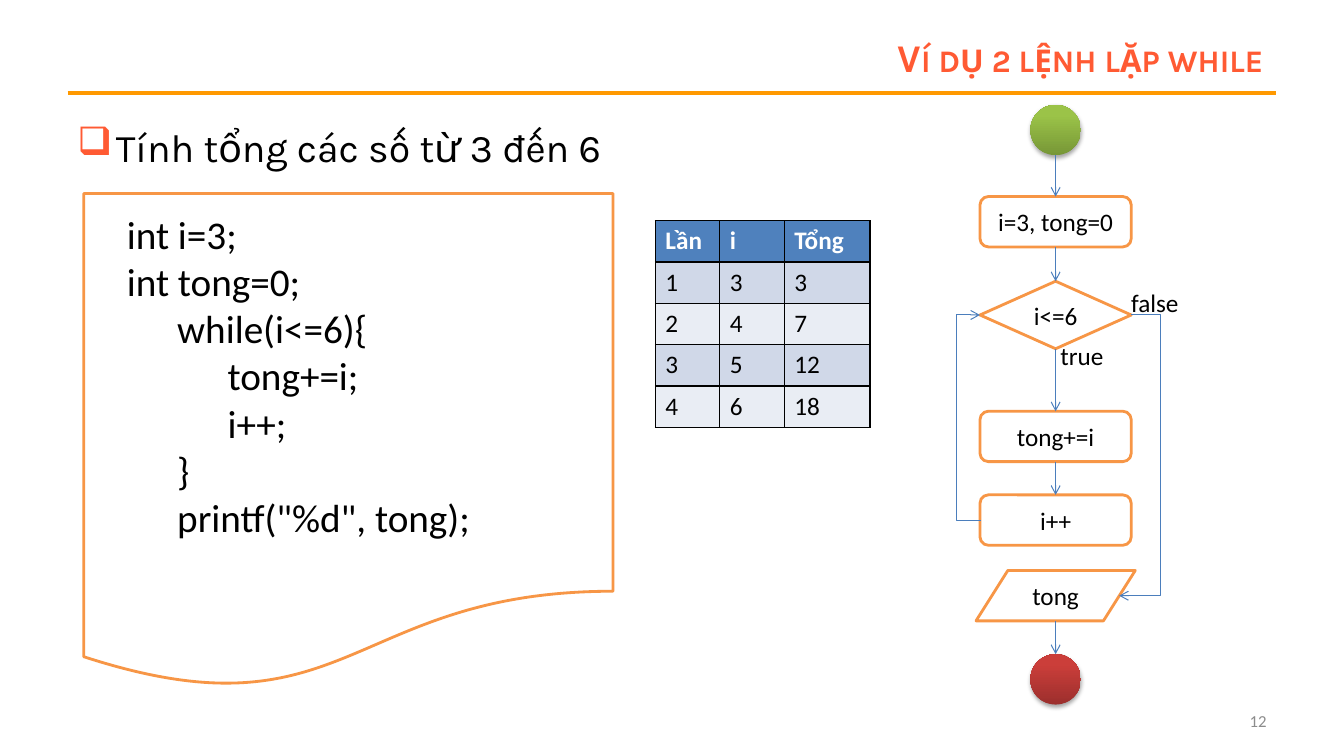
from lxml.etree import SubElement
from pptx import Presentation
from pptx.dml.color import RGBColor
from pptx.enum.shapes import MSO_CONNECTOR, MSO_SHAPE
from pptx.enum.text import MSO_ANCHOR, MSO_AUTO_SIZE, PP_ALIGN
from pptx.oxml.ns import qn
from pptx.util import Inches, Pt

# Content
TITLE = "Ví dụ 2 lệnh lặp while"
TASK = "Tính tổng các số từ 3 đến 6"
PAGE_NUMBER = "12"
CODE = [
    "int i=3;",
    "int tong=0;",
    "\twhile(i<=6){",
    "\t\ttong+=i;",
    "\t\ti++;",
    "\t}",
    '\tprintf("%d", tong);',
]
TRACE = [
    ("Lần", "i", "Tổng"),
    ("1", "3", "3"),
    ("2", "4", "7"),
    ("3", "5", "12"),
    ("4", "6", "18"),
]
TRACE_COLUMNS = (0.64, 0.64, 0.85)
TRACE_ROW = 0.41

ORANGE = RGBColor(0xF7, 0x96, 0x46)
GOLD = RGBColor(0xFF, 0x99, 0x00)
CORAL = RGBColor(0xFF, 0x5A, 0x33)
BLUE = RGBColor(0x4B, 0x7E, 0xBC)
HEADER_BLUE = RGBColor(0x4F, 0x81, 0xBD)
BANDS = (RGBColor(0xE9, 0xED, 0xF4), RGBColor(0xD0, 0xD8, 0xE8))
GREENS = (RGBColor(0x77, 0x97, 0x37), RGBColor(0x9B, 0xC3, 0x48))
REDS = (RGBColor(0x9C, 0x2F, 0x2D), RGBColor(0xCB, 0x3E, 0x3A))
GREY = RGBColor(0x8C, 0x8C, 0x8C)
BLACK = RGBColor(0, 0, 0)
WHITE = RGBColor(0xFF, 0xFF, 0xFF)

# Flowchart steps from top to bottom: outline, text, top, width, height
FLOW_AXIS = 10.47
STEPS = {
    "start": (MSO_SHAPE.OVAL, GREENS, 1.04, 0.5, 0.5),
    "init": (MSO_SHAPE.ROUNDED_RECTANGLE, "i=3, tong=0", 1.95, 1.5, 0.5),
    "test": (MSO_SHAPE.FLOWCHART_DECISION, "i<=6", 2.79, 1.5, 0.67),
    "add": (MSO_SHAPE.ROUNDED_RECTANGLE, "tong+=i", 4.08, 1.5, 0.5),
    "next": (MSO_SHAPE.ROUNDED_RECTANGLE, "i++", 4.91, 1.5, 0.5),
    "output": (MSO_SHAPE.FLOWCHART_DATA, "tong", 5.66, 1.58, 0.5),
    "end": (MSO_SHAPE.OVAL, REDS, 6.49, 0.5, 0.5),
}
BRANCH_LABELS = [("true", 10.42, 3.33, 0.63), ("false", 11.12, 2.8, 0.68)]

deck = Presentation()
deck.slide_width, deck.slide_height = Inches(13.33), Inches(7.5)
slide = deck.slides.add_slide(deck.slide_layouts[5])
shapes = slide.shapes


def box(left, top, width, height):
    return [Inches(length) for length in (left, top, width, height)]


def style(paragraph, size, color=BLACK, face="Calibri", bold=False, align=PP_ALIGN.LEFT):
    font = paragraph.font
    font.name, font.size, font.bold = face, Pt(size), bold
    font.color.rgb = color
    paragraph.alignment = align


def write(bounds, lines, size, wrap=True, **look):
    frame = shapes.add_textbox(*box(*bounds)).text_frame
    frame.word_wrap = wrap
    frame.text = "\n".join(lines)
    for paragraph in frame.paragraphs:
        style(paragraph, size, **look)
    return frame


def outlined(outline, bounds):
    shape = shapes.add_shape(outline, *box(*bounds))
    shape.shadow.inherit = False
    shape.fill.solid()
    shape.fill.fore_color.rgb = WHITE
    shape.line.color.rgb = ORANGE
    shape.line.width = Pt(2)
    return shape


def terminal(outline, bounds, colors):
    shape = shapes.add_shape(outline, *box(*bounds))
    shape.line.fill.background()
    shape.fill.gradient()
    shape.fill.gradient_angle = 90
    for stop, color, position in zip(shape.fill.gradient_stops, colors, (0, 0.8)):
        stop.color.rgb, stop.position = color, position
    shape.shadow.inherit = False
    effects = shape._element.spPr.find(qn("a:effectLst"))
    shadow = SubElement(effects, qn("a:outerShdw"), blurRad=str(Pt(3.1)),
                        dist=str(Pt(1.8)), dir="5400000", rotWithShape="0")
    shade = SubElement(shadow, qn("a:srgbClr"), val="000000")
    SubElement(shade, qn("a:alpha"), val="35000")


def connect(start, finish, color=BLUE, width=0.75, arrow=True, via_x=None):
    kind = MSO_CONNECTOR.STRAIGHT if via_x is None else MSO_CONNECTOR.ELBOW
    ends = [Inches(length) for length in (*start, *finish)]
    link = shapes.add_connector(kind, *ends)
    link.line.color.rgb = color
    link.line.width = Pt(width)
    properties = link._element.spPr
    if arrow:
        SubElement(properties.find(qn("a:ln")), qn("a:tailEnd"), type="arrow")
    SubElement(properties, qn("a:effectLst"))
    if via_x is not None:
        bend = round(100000 * (via_x - start[0]) / (finish[0] - start[0]))
        guides = properties.find(qn("a:prstGeom")).find(qn("a:avLst"))
        SubElement(guides, qn("a:gd"), name="adj1", fmla=f"val {bend}")


# Title, rule and page number
title = shapes.title
title.left, title.top, title.width, title.height = box(5.38, 0.3, 7.25, 0.53)
title.text_frame.text = TITLE
title.text_frame.auto_size = MSO_AUTO_SIZE.NONE
title.text_frame.vertical_anchor = MSO_ANCHOR.MIDDLE
heading = title.text_frame.paragraphs[0]
style(heading, 28, CORAL, "Karla", True, PP_ALIGN.RIGHT)
heading.runs[0].font._element.set("cap", "small")
connect((0.67, 0.92), (12.66, 0.92), GOLD, 3, arrow=False)
number = write((9.55, 6.95, 3.11, 0.4), [PAGE_NUMBER], 12, color=GREY, align=PP_ALIGN.RIGHT)
number.vertical_anchor = MSO_ANCHOR.MIDDLE

# Task with its bullet
task = write((0.67, 1.17, 9, 0.67), [TASK], 28, face="Karla").paragraphs[0]
task.space_before = Pt(5.6)
bullet = task._p.get_or_add_pPr()
bullet.set("marL", str(Inches(0.38)))
bullet.set("indent", str(-Inches(0.38)))
text_defaults = bullet.find(qn("a:defRPr"))
bullet_color = SubElement(bullet, qn("a:buClr"))
SubElement(bullet_color, qn("a:srgbClr"), val=str(CORAL))
SubElement(bullet, qn("a:buChar"), char="❑")
bullet.append(text_defaults)

# Code sheet
outlined(MSO_SHAPE.FLOWCHART_DOCUMENT, (0.83, 1.92, 5.25, 4.92))
write((1.16, 2.04, 4.67, 3.77), CODE, 28)

# Trace table
trace = shapes.add_table(
    len(TRACE), len(TRACE_COLUMNS),
    *box(6.5, 2.19, sum(TRACE_COLUMNS), TRACE_ROW * len(TRACE))).table
for column, width in zip(trace.columns, TRACE_COLUMNS):
    column.width = Inches(width)
for r, values in enumerate(TRACE):
    for c, value in enumerate(values):
        cell = trace.cell(r, c)
        cell.text = value
        is_header = r == 0
        style(cell.text_frame.paragraphs[0], 18, WHITE if is_header else BLACK, bold=is_header)
        for side in ("a:lnL", "a:lnR", "a:lnT", "a:lnB"):
            border = SubElement(cell._tc.get_or_add_tcPr(), qn(side), w=str(Pt(1)))
            SubElement(SubElement(border, qn("a:solidFill")), qn("a:srgbClr"), val=str(BLACK))
        cell.fill.solid()
        cell.fill.fore_color.rgb = HEADER_BLUE if is_header else BANDS[r % 2]

# Flowchart steps
for outline, content, top, width, height in STEPS.values():
    bounds = (FLOW_AXIS - width / 2, top, width, height)
    if outline == MSO_SHAPE.OVAL:
        terminal(outline, bounds, content)
        continue
    frame = outlined(outline, bounds).text_frame
    frame.text = content
    frame.vertical_anchor = MSO_ANCHOR.MIDDLE
    style(frame.paragraphs[0], 18, align=PP_ALIGN.CENTER)

# Arrows down the axis; the loop body does not lead to the output
names = list(STEPS)
for upper, lower in zip(names, names[1:]):
    if upper != "next":
        bottom = STEPS[upper][2] + STEPS[upper][4]
        connect((FLOW_AXIS, bottom), (FLOW_AXIS, STEPS[lower][2]))

# Loop back on the left, exit on the right
middle = {name: step[2] + step[4] / 2 for name, step in STEPS.items()}
half = STEPS["test"][3] / 2
connect((FLOW_AXIS - half + 0.01, middle["next"]), (FLOW_AXIS - half, middle["test"]), via_x=9.48)
connect((FLOW_AXIS + half, middle["test"]), (11.1, middle["output"]), via_x=11.51)
for label, left, top, width in BRANCH_LABELS:
    write((left, top, width, 0.4), [label], 18, wrap=False)

deck.save("out.pptx")
